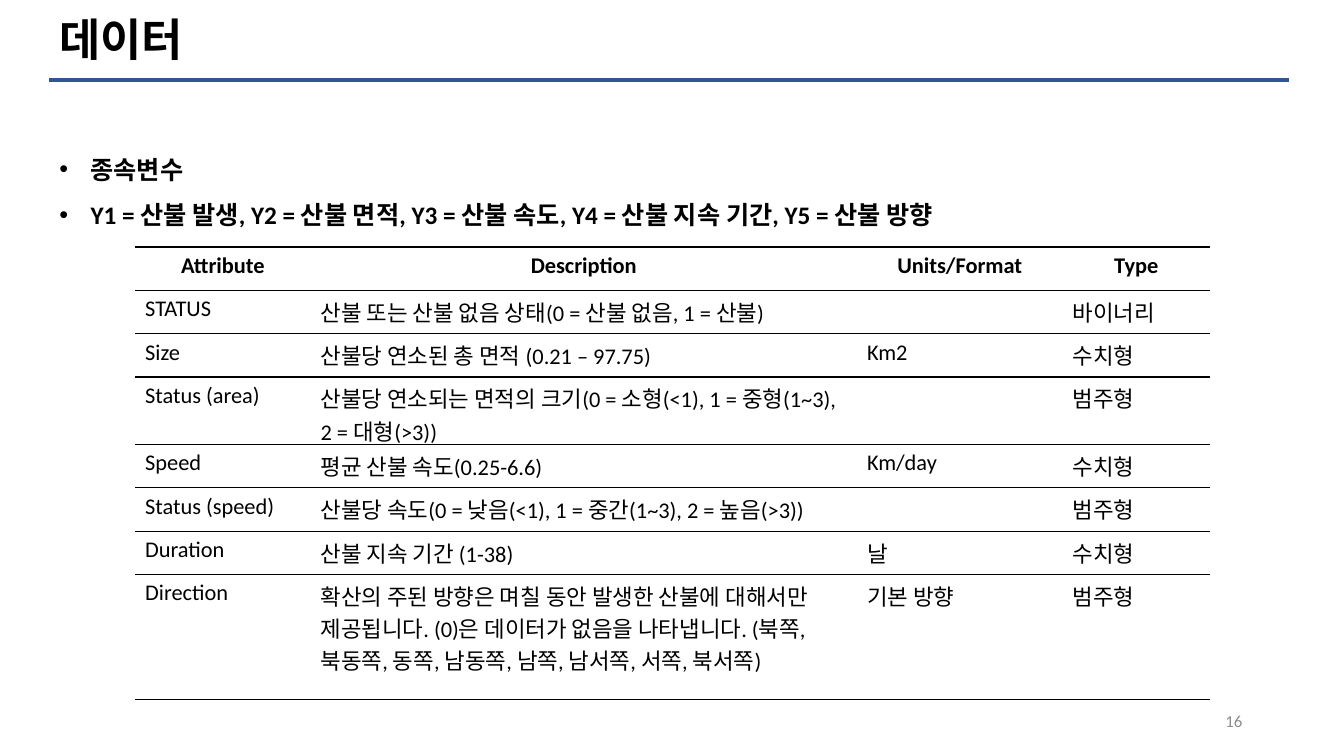
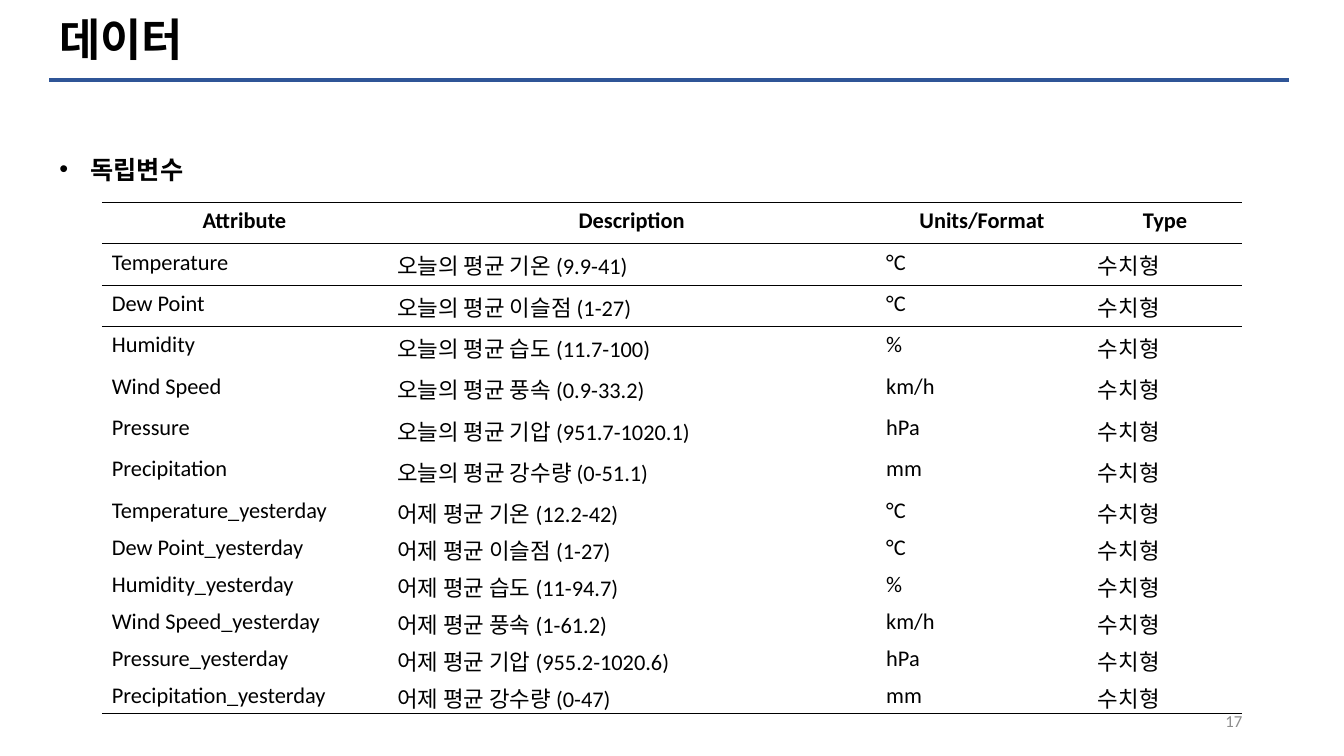
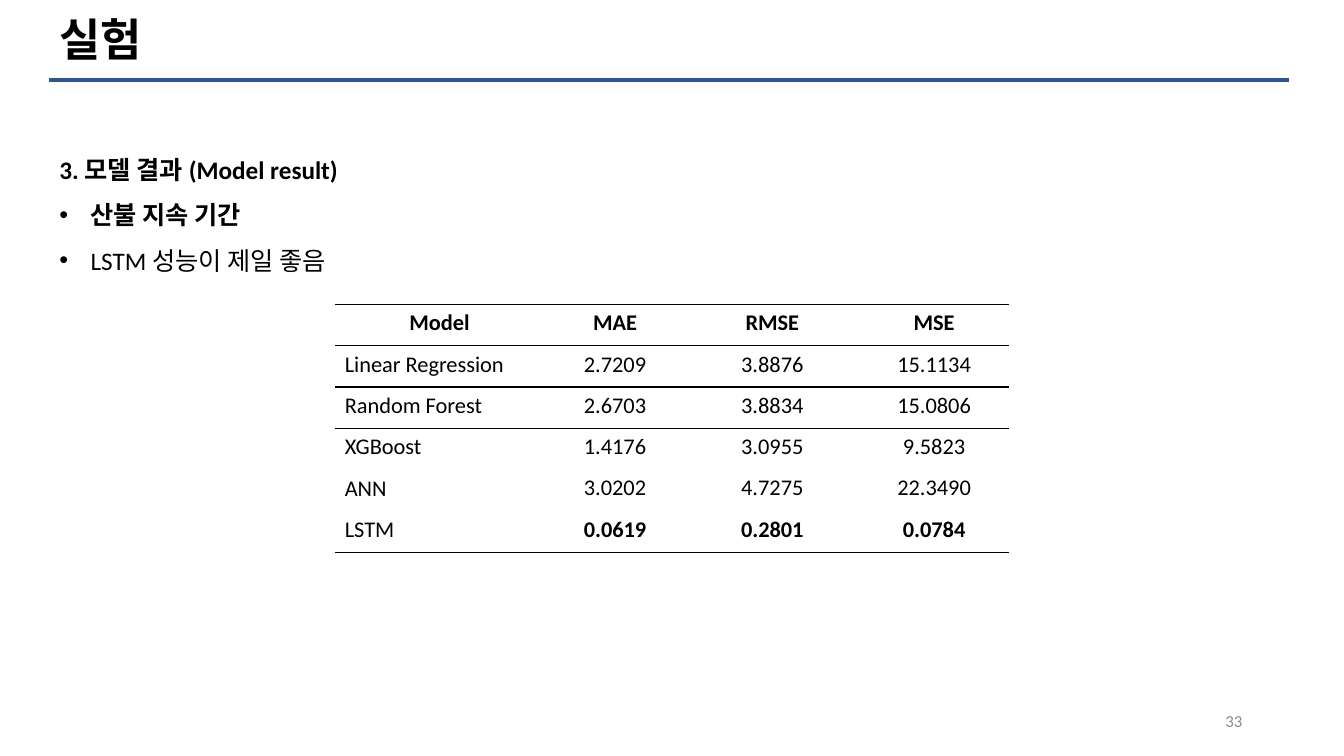
"""Build three slides on wildfire data and model results."""
from lxml.etree import SubElement
from pptx import Presentation
from pptx.dml.color import RGBColor
from pptx.enum.shapes import MSO_CONNECTOR as Connector
from pptx.enum.text import MSO_ANCHOR as Anchor, PP_ALIGN as Align
from pptx.oxml.ns import qn
from pptx.util import Pt

PX = 9144
FONT = "Calibri"
BLACK, BLUE, GRAY = "000000", "2F5597", "8C8C8C"
NO_STYLE = "{2D5ABB26-0587-4C30-8999-92F81FD0307C}"
BULLET_INDENT = 31
NUMBER_MARGINS = (1, 1, 1, 5)
DATA_HEADER = ("Attribute", "Description", "Units/Format", "Type")

SLIDES = [
    {
        "title": "데이터",
        "number": "16",
        "lines": [
            ("종속변수", True, True),
            ("Y1 = 산불 발생, Y2 = 산불 면적, Y3 = 산불 속도, "
             "Y4 = 산불 지속 기간, Y5 = 산불 방향", True, True),
        ],
        "table": {
            "at": (134, 245),
            "columns": (174, 542, 204, 146),
            "heights": (43, 43, 43, 67, 43, 43, 43, 124),
            "rules": range(9),
            "rows": [
                DATA_HEADER,
                ("STATUS", "산불 또는 산불 없음 상태(0 = 산불 없음, 1 = 산불)", "", "바이너리"),
                ("Size", "산불당 연소된 총 면적 (0.21 – 97.75)", "Km2", "수치형"),
                ("Status (area)",
                 "산불당 연소되는 면적의 크기(0 = 소형(<1), 1 = 중형(1~3), 2 = 대형(>3))",
                 "", "범주형"),
                ("Speed", "평균 산불 속도(0.25-6.6)", "Km/day", "수치형"),
                ("Status (speed)",
                 "산불당 속도(0 = 낮음(<1), 1 = 중간(1~3), 2 = 높음(>3))", "", "범주형"),
                ("Duration", "산불 지속 기간 (1-38)", "날", "수치형"),
                ("Direction",
                 "확산의 주된 방향은 며칠 동안 발생한 산불에 대해서만 제공됩니다. "
                 "(0)은 데이터가 없음을 나타냅니다. "
                 "(북쪽, 북동쪽, 동쪽, 남동쪽, 남쪽, 남서쪽, 서쪽, 북서쪽)",
                 "기본 방향", "범주형"),
            ],
        },
    },
    {
        "title": "데이터",
        "number": "17",
        "lines": [("독립변수", True, True)],
        "table": {
            "at": (101, 201),
            "columns": (283, 485, 210, 153),
            "heights": (41,) * 7 + (20,) * 6,
            "rules": (0, 1, 2, 13),
            "rows": [
                DATA_HEADER,
                ("Temperature", "오늘의 평균 기온 (9.9-41)", "°C", "수치형"),
                ("Dew Point", "오늘의 평균 이슬점 (1-27)", "°C", "수치형"),
                ("Humidity", "오늘의 평균 습도 (11.7-100)", "%", "수치형"),
                ("Wind Speed", "오늘의 평균 풍속 (0.9-33.2)", "km/h", "수치형"),
                ("Pressure", "오늘의 평균 기압 (951.7-1020.1)", "hPa", "수치형"),
                ("Precipitation", "오늘의 평균 강수량 (0-51.1)", "mm", "수치형"),
                ("Temperature_yesterday", "어제 평균 기온 (12.2-42)", "°C", "수치형"),
                ("Dew Point_yesterday", "어제 평균 이슬점 (1-27)", "°C", "수치형"),
                ("Humidity_yesterday", "어제 평균 습도 (11-94.7)", "%", "수치형"),
                ("Wind Speed_yesterday", "어제 평균 풍속 (1-61.2)", "km/h", "수치형"),
                ("Pressure_yesterday", "어제 평균 기압 (955.2-1020.6)", "hPa", "수치형"),
                ("Precipitation_yesterday", "어제 평균 강수량 (0-47)", "mm", "수치형"),
            ],
        },
    },
    {
        "title": "실험",
        "number": "33",
        "lines": [
            ("3. 모델 결과 (Model result)", False, True),
            ("산불 지속 기간", True, True),
            ("LSTM 성능이 제일 좋음", True, False),
        ],
        "table": {
            "at": (332, 302),
            "columns": (208, 140, 172, 149),
            "heights": (41,) * 6,
            "rules": (0, 1, 2, 6),
            "numeric": True,
            "best_row": 5,
            "rows": [
                ("Model", "MAE", "RMSE", "MSE"),
                ("Linear Regression", "2.7209", "3.8876", "15.1134"),
                ("Random Forest", "2.6703", "3.8834", "15.0806"),
                ("XGBoost", "1.4176", "3.0955", "9.5823"),
                ("ANN", "3.0202", "4.7275", "22.3490"),
                ("LSTM", "0.0619", "0.2801", "0.0784"),
            ],
        },
    },
]


def px(*lengths):
    return [length * PX for length in lengths]


def color(value):
    return RGBColor.from_string(value)


def style(para, size, bold=False, fill=BLACK):
    for span in para.runs:
        span.font.name = FONT
        span.font.size = Pt(size)
        span.font.bold = bold
        span.font.color.rgb = color(fill)


def add_text(page, at, text, anchor=Anchor.TOP):
    frame = page.shapes.add_textbox(*px(*at)).text_frame
    frame.word_wrap = True
    frame.vertical_anchor = anchor
    frame.text = text
    return frame.paragraphs


def add_frame(page, title, number):
    rule = page.shapes.add_connector(Connector.STRAIGHT, *px(49, 79, 1278, 79))
    rule.line.color.rgb = color(BLUE)
    rule.line.width = Pt(3)
    SubElement(rule._element.spPr, qn("a:effectLst"))
    heading = add_text(page, (49, 10, 1060, 61), title, Anchor.BOTTOM)[0]
    heading.line_spacing = 0.9
    style(heading, 32, bold=True)
    footer = add_text(page, (942, 695, 300, 40), number, Anchor.MIDDLE)[0]
    footer.alignment = Align.RIGHT
    style(footer, 12, fill=GRAY)


def add_lines(page, lines):
    text = "\n".join(line for line, _, _ in lines)
    paras = add_text(page, (49, 133, 1259, 536), text)
    for para, (_, bulleted, bold) in zip(paras, lines):
        para.line_spacing = 1.5
        style(para, 18, bold)
        if bulleted:
            props = para._p.get_or_add_pPr()
            props.set("marL", str(BULLET_INDENT * PX))
            props.set("indent", str(-BULLET_INDENT * PX))
            SubElement(props, qn("a:buFont"), typeface="Arial")
            SubElement(props, qn("a:buChar"), char="•")


def add_border(cell, side):
    line = SubElement(cell._tc.get_or_add_tcPr(), qn(f"a:{side}"), w=str(Pt(1)))
    SubElement(SubElement(line, qn("a:solidFill")), qn("a:srgbClr"), val=BLACK)


def add_data_table(page, at, columns, heights, rules, rows, numeric=False, best_row=None):
    size = px(sum(columns), sum(heights))
    frame = page.shapes.add_table(len(rows), len(columns), *px(*at), *size)
    table = frame.table
    table._tbl.tblPr.find(qn("a:tableStyleId")).text = NO_STYLE
    table.first_row = table.horz_banding = False
    for column, width in zip(table.columns, columns):
        column.width = width * PX
    for row, height in zip(table.rows, heights):
        row.height = height * PX
    for i, row in enumerate(rows):
        for j, text in enumerate(row):
            cell = table.cell(i, j)
            cell.text_frame.text = text
            para = cell.text_frame.paragraphs[0]
            is_number = numeric and i > 0 and j > 0
            style(para, 16, bold=i == 0 or (is_number and i == best_row))
            if i == 0 or is_number:
                para.alignment = Align.CENTER
            if is_number:
                cell.vertical_anchor = Anchor.MIDDLE
                (cell.margin_left, cell.margin_top,
                 cell.margin_right, cell.margin_bottom) = px(*NUMBER_MARGINS)
            for side, edge in (("lnT", i), ("lnB", i + 1)):
                if edge in rules:
                    add_border(cell, side)
            cell.fill.background()


def main():
    deck = Presentation()
    deck.slide_width, deck.slide_height = px(1333, 750)
    for content in SLIDES:
        page = deck.slides.add_slide(deck.slide_layouts[6])
        add_lines(page, content["lines"])
        add_data_table(page, **content["table"])
        add_frame(page, content["title"], content["number"])
    deck.save("out.pptx")


if __name__ == "__main__":
    main()
